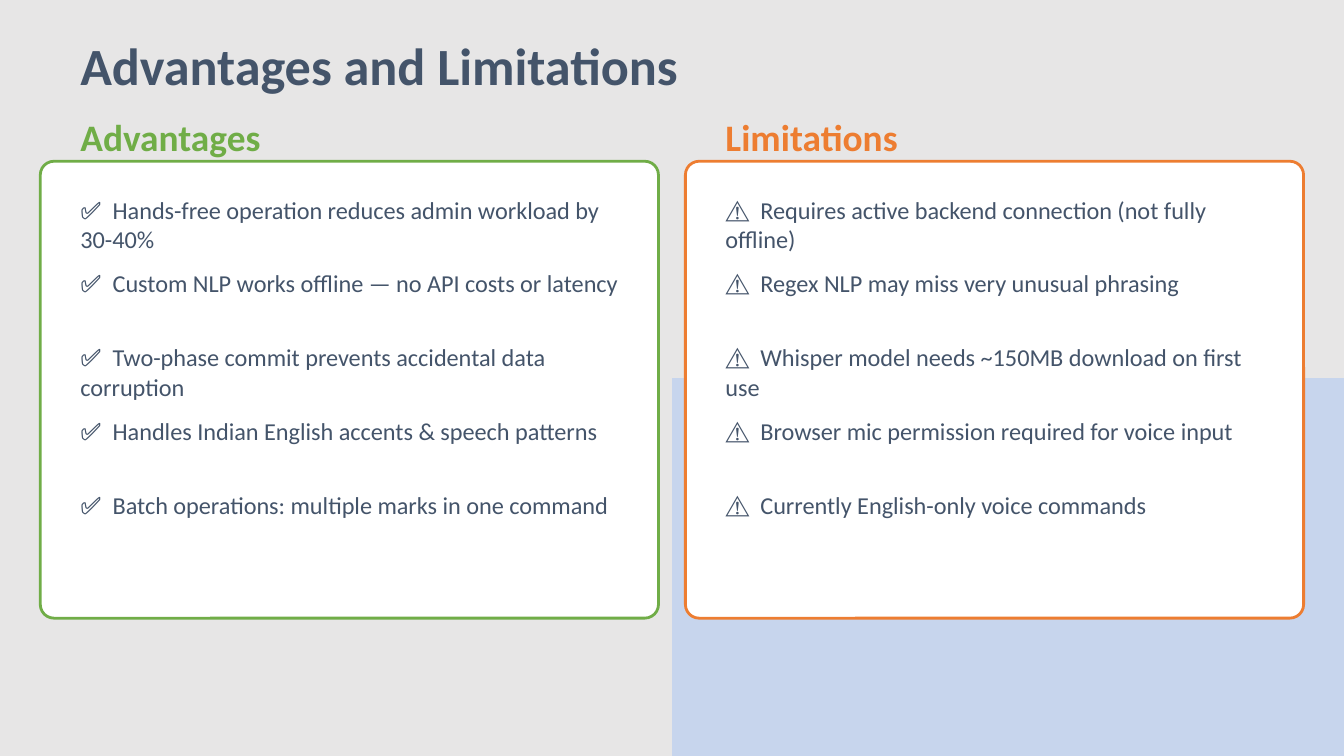
"""Build the Advantages and Limitations slide."""
from lxml import etree
from pptx import Presentation
from pptx.dml.color import RGBColor
from pptx.enum.shapes import MSO_SHAPE
from pptx.enum.text import MSO_AUTO_SIZE
from pptx.oxml.ns import qn
from pptx.util import Inches, Pt

ROUND = MSO_SHAPE.ROUNDED_RECTANGLE
GROW = MSO_AUTO_SIZE.SHAPE_TO_FIT_TEXT

WIDE = 10
HIGH = WIDE * 9 / 16
FONT = "Calibri"
COLORS = {
    "back": "E7E6E6",
    "corner": "C7D5ED",
    "card": "FFFFFF",
    "text": "44546A",
    "green": "70AD47",
    "orange": "ED7D31",
}
TITLE = "Advantages and Limitations"
COLUMNS = [
    {
        "head": "Advantages", "color": "green", "icon": "✅", "tab": 0.24,
        "items": [
            "Hands-free operation reduces admin workload by 30-40%",
            "Custom NLP works offline — no API costs or latency",
            "Two-phase commit prevents accidental data corruption",
            "Handles Indian English accents & speech patterns",
            "Batch operations: multiple marks in one command",
        ],
    },
    {
        "head": "Limitations", "color": "orange", "icon": "⚠️", "tab": 0.26,
        "items": [
            "Requires active backend connection (not fully offline)",
            "Regex NLP may miss very unusual phrasing",
            "Whisper model needs ~150MB download on first use",
            "Browser mic permission required for voice input",
            "Currently English-only voice commands",
        ],
    },
]
LEFT, STEP, PAD = 0.3, 4.8, 0.2
TOP, ROW = 1.4, 0.55


def color(name):
    return RGBColor.from_string(COLORS[name])


def paint_back(slide):
    fill = slide.background.fill
    fill.gradient()
    for stop, name in zip(fill.gradient_stops, ("corner", "back")):
        stop.position = 1
        stop.color.rgb = color(name)
    line = next(slide.element.iter(qn("a:lin")))
    shade = etree.Element(qn("a:path"), {"path": "rect"})
    etree.SubElement(shade, qn("a:fillToRect"), l="100000", t="100000")
    line.getparent().replace(line, shade)


def add_text(slide, place, text, size, tint, bold=False, tab=None):
    frame = slide.shapes.add_textbox(*map(Inches, place)).text_frame
    frame.word_wrap = True
    frame.auto_size = GROW
    para = frame.paragraphs[0]
    para.text = text
    if tab:
        stops = etree.SubElement(para._p.get_or_add_pPr(), qn("a:tabLst"))
        etree.SubElement(stops, qn("a:tab"), pos=str(Inches(tab)), algn="l")
    font = para.font
    font.name, font.size, font.bold = FONT, Pt(size), bold
    font.color.rgb = color(tint)


def add_card(slide, place, tint):
    card = slide.shapes.add_shape(ROUND, *map(Inches, place))
    card.shadow.inherit = False
    card.adjustments[0] = 0.03
    card.fill.solid()
    card.fill.fore_color.rgb = color("card")
    card.line.color.rgb = color(tint)
    card.line.width = Pt(1.5)


def add_column(slide, left, col):
    inner = left + PAD
    add_text(slide, (inner, 0.8, 4.5, 0.35), col["head"], 20, col["color"], True)
    add_card(slide, (left, 1.2, 4.6, 3.4), col["color"])
    for row, item in enumerate(col["items"]):
        place = (inner, TOP + row * ROW, 4.2, 0.45)
        add_text(slide, place, f"{col['icon']}\t{item}", 13, "text", tab=col["tab"])


def main():
    deck = Presentation()
    deck.slide_width, deck.slide_height = Inches(WIDE), Inches(HIGH)
    slide = deck.slides.add_slide(deck.slide_layouts[6])
    paint_back(slide)
    add_text(slide, (0.5, 0.2, 9, 0.5), TITLE, 28, "text", True)
    for num, col in enumerate(COLUMNS):
        add_column(slide, LEFT + num * STEP, col)
    deck.save("out.pptx")


if __name__ == "__main__":
    main()
